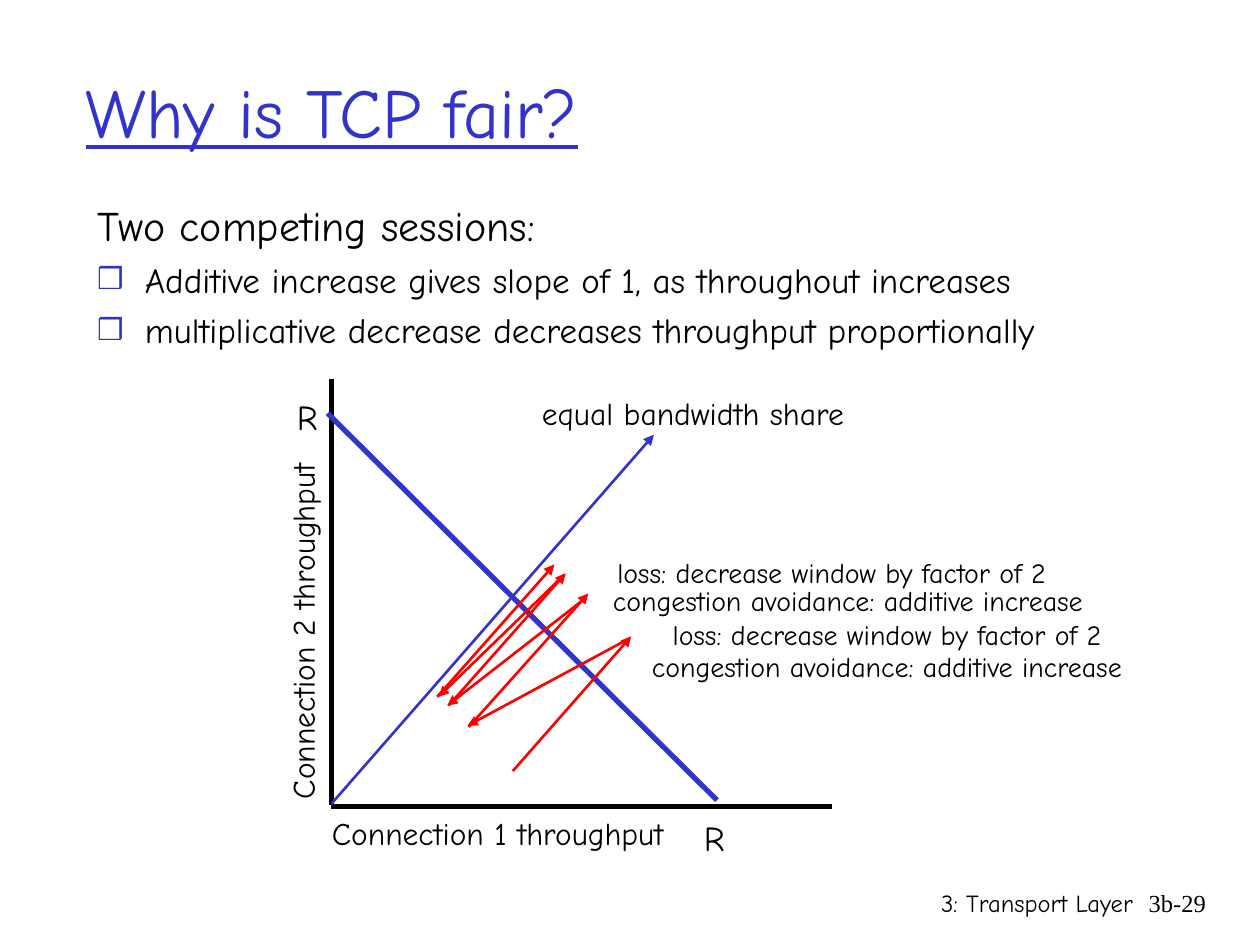
import lxml.etree
import pptx
import pptx.dml.color
import pptx.enum.dml
import pptx.enum.shapes
import pptx.enum.text
import pptx.oxml.ns
import pptx.util

Inches = pptx.util.Inches
Pt = pptx.util.Pt
RGBColor = pptx.dml.color.RGBColor
ALIGN = pptx.enum.text.PP_ALIGN
ANCHOR = pptx.enum.text.MSO_ANCHOR
NO_FIT = pptx.enum.text.MSO_AUTO_SIZE.NONE

BLACK = RGBColor(0x00, 0x00, 0x00)
BLUE = RGBColor(0x33, 0x33, 0xCC)
RED = RGBColor(0xFF, 0x00, 0x00)
COMIC = "Comic Neue"


def set_attrs(obj, values):
    """Set each attribute of obj named in values."""
    for name, value in values.items():
        setattr(obj, name, value)


def place(s, left, top, width, height):
    """Move and size a shape, in inches."""
    set_attrs(s, {"left": Inches(left), "top": Inches(top),
                  "width": Inches(width), "height": Inches(height)})


def add_run(p, text, size, color=BLACK, name=COMIC, **extra):
    """Append a formatted run to a paragraph."""
    r = p.add_run()
    r.text = text
    set_attrs(r.font, {"size": Pt(size), "name": name, **extra})
    r.font.color.rgb = color


def sub(parent, tag, **attrs):
    """Append a DrawingML element to parent."""
    return lxml.etree.SubElement(parent, pptx.oxml.ns.qn(tag), attrs)


def add_title(slide, text):
    """Fill the title placeholder."""
    s = slide.shapes.title
    place(s, 0.58, 0.25, 8.5, 1.25)
    tf = s.text_frame
    set_attrs(tf, {"auto_size": NO_FIT, "vertical_anchor": ANCHOR.MIDDLE})
    p = tf.paragraphs[0]
    p.alignment = ALIGN.LEFT
    add_run(p, text, 40, BLUE, underline=True)


def add_body(slide, heading, bullets):
    """Fill the body placeholder with a heading and its bullets."""
    s = slide.placeholders[1]
    place(s, 0.67, 1.53, 9.08, 5.08)
    tf = s.text_frame
    set_attrs(tf, {"auto_size": NO_FIT, "vertical_anchor": ANCHOR.TOP})
    for i, text in enumerate([heading, *bullets]):
        p = tf.add_paragraph() if i else tf.paragraphs[0]
        pPr = p._p.get_or_add_pPr()
        set_attrs_xml = {"marL": Inches(0.38), "indent": Inches(-0.38)}
        for name, value in set_attrs_xml.items():
            pPr.set(name, str(int(value)))
        if i:
            sub(sub(pPr, "a:buClr"), "a:srgbClr", val=str(BLUE))
            sub(pPr, "a:buSzPct", val="85000")
            sub(pPr, "a:buChar", char="❒")
        else:
            sub(pPr, "a:buNone")
        p.space_before = Pt(5 if i else 0)
        add_run(p, text, 20 if i else 24)


def add_label(slide, text, box, size, align=ALIGN.CENTER, name=COMIC,
              wrap=True, rotation=0):
    """Add a one-line text box."""
    s = slide.shapes.add_textbox(*map(Inches, box))
    s.rotation = rotation
    tf = s.text_frame
    tf.word_wrap = wrap
    p = tf.paragraphs[0]
    p.alignment = align
    add_run(p, text, size, name=name)


def add_line(slide, start, end, color, width, arrow=False):
    """Add a straight line, with an arrowhead at its end if asked."""
    s = slide.shapes.add_connector(
        pptx.enum.shapes.MSO_CONNECTOR.STRAIGHT, *map(Inches, start + end))
    s.line.color.rgb = color
    s.line.width = Pt(width)
    if arrow:
        sub(s.line._get_or_add_ln(), "a:tailEnd", type="triangle")
    sub(s._element.spPr, "a:effectLst")


def add_graph(slide):
    """Draw the axes, the two reference lines and their labels."""
    add_line(slide, (2.63, 6.4), (6.6, 6.4), BLACK, 3)
    add_line(slide, (2.63, 6.39), (2.63, 3.01), BLACK, 3)
    add_line(slide, (2.63, 6.38), (5.19, 3.45), BLUE, 1.5, arrow=True)
    add_line(slide, (2.6, 3.28), (5.69, 6.35), BLUE, 3)
    for left, top in ((2.22, 3.09), (5.45, 6.43)):
        add_label(slide, "R", (left, top, 0.44, 0.44), 20)
    for text, left, top, rotation in (
            ("equal bandwidth share", 3.56, 3.08, 0),
            ("Connection 1 throughput", 2.01, 6.41, 0),
            ("Connection 2 throughput", 0.46, 4.81, 270)):
        add_label(slide, text, (left, top, 3.88, 0.4), 18, rotation=rotation)


def add_steps(slide):
    """Draw the zigzag of increases and losses with its labels."""
    for start, end in (
            ((4.07, 6.12), (5.01, 5.05)), ((4.99, 5.07), (3.71, 5.76)),
            ((3.72, 5.77), (4.67, 4.71)), ((4.63, 4.76), (3.55, 5.6)),
            ((3.56, 5.6), (4.49, 4.55)), ((4.48, 4.56), (3.48, 5.53)),
            ((3.47, 5.53), (4.4, 4.48))):
        add_line(slide, start, end, RED, 1.5, arrow=True)
    for left, top in ((4.56, 5.11), (4.25, 4.58)):
        add_label(slide, "congestion avoidance: additive increase",
                  (left, top, 4.96, 0.37), 16)
    for left, top in ((5.23, 4.85), (4.79, 4.36)):
        add_label(slide, "loss: decrease window by factor of 2",
                  (left, top, 3.62, 0.37), 16, wrap=False)


def main():
    """Build and save the slide."""
    prs = pptx.Presentation()
    set_attrs(prs, {"slide_width": Inches(10), "slide_height": Inches(7.5)})
    slide = prs.slides.add_slide(prs.slide_layouts[1])
    add_label(slide, "3: Transport Layer", (5.92, 7, 3.17, 0.5), 14, ALIGN.RIGHT)
    add_label(slide, "3b-29", (8.93, 7, 0.74, 0.5), 14, ALIGN.RIGHT,
              "Times New Roman")
    add_title(slide, "Why is TCP fair?")
    add_body(slide, "Two competing sessions:", [
        "Additive increase gives slope of 1, as throughout increases",
        "multiplicative decrease decreases throughput proportionally"])
    add_graph(slide)
    add_steps(slide)
    prs.save("out.pptx")


if __name__ == "__main__":
    main()
